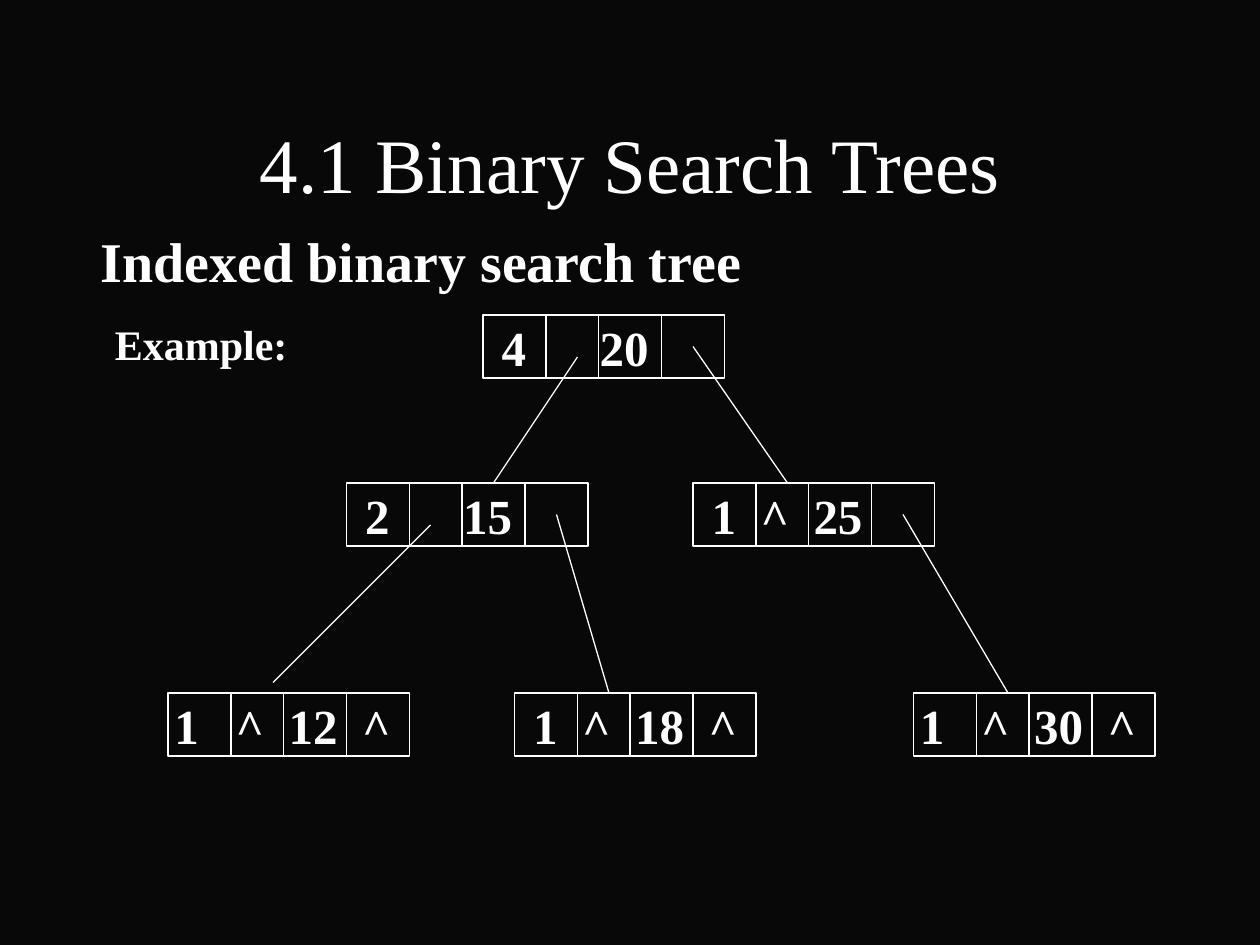
from dataclasses import dataclass

from lxml.etree import SubElement
from pptx import Presentation
from pptx.dml.color import RGBColor
from pptx.enum.shapes import MSO_CONNECTOR, MSO_SHAPE
from pptx.enum.text import MSO_ANCHOR, MSO_AUTO_SIZE, PP_ALIGN
from pptx.oxml.ns import qn
from pptx.util import Pt

FONT = "Times New Roman"
WHITE = "FFFFFF"
BACKGROUND = "080808"
INSET = 3.6
NODE_WIDTH, NODE_HEIGHT = 138, 36
DIVIDERS = (36, 66, 102)


@dataclass(frozen=True)
class Node:
    """A tree node with its rank, left link, key and right link."""

    left: float
    top: float
    cells: tuple[str, str, str, str]
    rank_at: float = 10.6
    key_at: float = 68.9
    text_width: float = 132


@dataclass(frozen=True)
class Link:
    """A line from a parent's link cell to a child node."""

    start: tuple[float, float]
    end: tuple[float, float]


NODES = (
    Node(276, 180, ("4", "", "20", ""), key_at=66.6, text_width=99),
    Node(198, 276, ("2", "", "15", ""), key_at=66.6, text_width=99),
    Node(396, 276, ("1", "^", "25", ""), text_width=102),
    Node(294, 396, ("1", "^", "18", "^")),
    Node(96, 396, ("1", "^", "12", "^"), rank_at=INSET),
    Node(522, 396, ("1", "^", "30", "^"), rank_at=INSET),
)
LINKS = (
    Link((330, 204), (282, 276)),
    Link((396, 198), (450, 276)),
    Link((246, 300), (156, 390)),
    Link((318, 294), (348, 396)),
    Link((516, 294), (576, 396)),
)


def color(value: str) -> RGBColor:
    """Turn a hex string into a colour."""
    return RGBColor.from_string(value)


def add_text(paragraph, text: str, size: float, bold: bool = False) -> None:
    """Add one white run to a paragraph."""
    run = paragraph.add_run()
    run.text = text
    run.font.name = FONT
    run.font.size = Pt(size)
    run.font.bold = bold
    run.font.color.rgb = color(WHITE)


def set_frame(frame, anchor: MSO_ANCHOR) -> None:
    """Give a text frame its insets, wrapping and anchor."""
    frame.margin_left = frame.margin_right = Pt(INSET)
    frame.margin_top = frame.margin_bottom = Pt(INSET)
    frame.word_wrap = True
    frame.auto_size = MSO_AUTO_SIZE.NONE
    frame.vertical_anchor = anchor


def place(shape, left: float, top: float, width: float, height: float) -> None:
    """Move and size a placeholder."""
    shape.left, shape.top = Pt(left), Pt(top)
    shape.width, shape.height = Pt(width), Pt(height)


def set_unbulleted(paragraph, margin: float, indent: float) -> None:
    """Remove the bullet and set the indents of a paragraph."""
    properties = paragraph._p.get_or_add_pPr()
    properties.set("marL", str(Pt(margin)))
    properties.set("indent", str(Pt(indent)))
    SubElement(properties, qn("a:buNone"))


def add_line(shapes, start: tuple[float, float], end: tuple[float, float]) -> None:
    """Draw a thin white line without a shadow."""
    line = shapes.add_connector(
        MSO_CONNECTOR.STRAIGHT, *(Pt(value) for value in (*start, *end))
    )
    line.line.color.rgb = color(WHITE)
    line.line.width = Pt(0.75)
    SubElement(line._element.spPr, qn("a:effectLst"))


def add_node(slide, node: Node) -> None:
    """Draw a node as a grouped frame, its cell text and its dividers."""
    shapes = slide.shapes.add_group_shape().shapes
    frame = shapes.add_shape(
        MSO_SHAPE.RECTANGLE,
        Pt(node.left), Pt(node.top), Pt(NODE_WIDTH), Pt(NODE_HEIGHT),
    )
    frame.shadow.inherit = False
    frame.fill.background()
    frame.line.color.rgb = color(WHITE)
    frame.line.width = Pt(0.75)

    label = shapes.add_textbox(
        Pt(node.left), Pt(node.top - 1.2), Pt(node.text_width), Pt(38.4)
    )
    set_frame(label.text_frame, MSO_ANCHOR.MIDDLE)
    label.text_frame.margin_left = Pt(node.rank_at)
    paragraph = label.text_frame.paragraphs[0]
    stops = SubElement(paragraph._p.get_or_add_pPr(), qn("a:tabLst"))
    for cell, position in zip(node.cells[1:], (38.6, node.key_at, 110.9)):
        if cell:
            offset = str(Pt(position - node.rank_at))
            SubElement(stops, qn("a:tab"), pos=offset, algn="l")
    add_text(paragraph, "\t".join(filter(None, node.cells)), 28, bold=True)

    for divider in DIVIDERS:
        x = node.left + divider
        add_line(shapes, (x, node.top), (x, node.top + NODE_HEIGHT))


def main() -> None:
    """Build and save the slide."""
    presentation = Presentation()
    presentation.slide_width, presentation.slide_height = Pt(720), Pt(540)
    slide = presentation.slides.add_slide(presentation.slide_layouts[1])
    slide.background.fill.solid()
    slide.background.fill.fore_color.rgb = color(BACKGROUND)

    title = slide.shapes.title
    place(title, 54, 48, 612, 90)
    set_frame(title.text_frame, MSO_ANCHOR.MIDDLE)
    heading = title.text_frame.paragraphs[0]
    heading.alignment = PP_ALIGN.CENTER
    add_text(heading, "4.1 Binary Search Trees", 44)

    body = slide.placeholders[1]
    place(body, 54, 126, 612, 354)
    set_frame(body.text_frame, MSO_ANCHOR.TOP)
    topic = body.text_frame.paragraphs[0]
    set_unbulleted(topic, 27, -27)
    topic.space_before = Pt(0)
    add_text(topic, "Indexed binary search tree", 32, bold=True)
    example = body.text_frame.add_paragraph()
    set_unbulleted(example, 8, 0)
    example.space_before = Pt(14)
    add_text(example, "Example:", 24, bold=True)

    for node in NODES:
        add_node(slide, node)
    for link in LINKS:
        add_line(slide.shapes, link.start, link.end)


    presentation.save("out.pptx")


if __name__ == "__main__":
    main()
